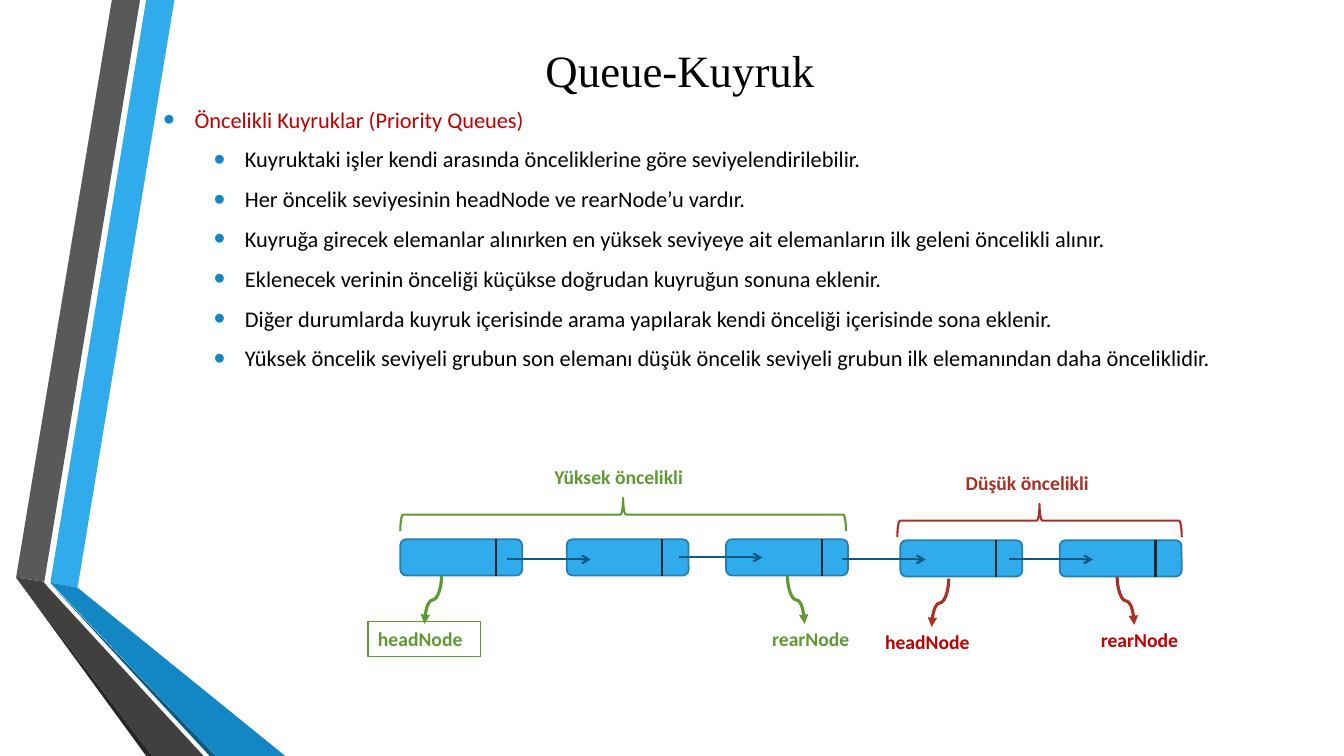
"""Build the slide on priority queues: title, rules and a linked node diagram."""
from lxml import etree
from pptx import Presentation
from pptx import util as u
from pptx.dml.color import RGBColor
from pptx.enum import shapes, text
from pptx.oxml import ns

BLACK = RGBColor(0x00, 0x00, 0x00)
SKY = RGBColor(0x30, 0xAC, 0xEC)
BLUE = RGBColor(0x12, 0x87, 0xC3)
NAVY = RGBColor(0x0C, 0x5A, 0x82)
NODE_EDGE = RGBColor(0x24, 0x7F, 0xAF)
GREY = RGBColor(0x59, 0x59, 0x59)
DARK_GREY = RGBColor(0x40, 0x40, 0x40)
CHARCOAL = RGBColor(0x26, 0x26, 0x26)
GREEN = RGBColor(0x5F, 0x99, 0x34)
BRICK = RGBColor(0xA9, 0x30, 0x23)
RED = RGBColor(0xC0, 0x00, 0x00)

TITLE = "Queue-Kuyruk"
HEADING = "Öncelikli Kuyruklar (Priority Queues)"
RULES = [
    "Kuyruktaki işler kendi arasında önceliklerine göre seviyelendirilebilir.",
    "Her öncelik seviyesinin headNode ve rearNode’u vardır.",
    "Kuyruğa girecek elemanlar alınırken en yüksek seviyeye ait elemanların ilk geleni öncelikli alınır.",
    "Eklenecek verinin önceliği küçükse doğrudan kuyruğun sonuna eklenir.",
    "Diğer durumlarda kuyruk içerisinde arama yapılarak kendi önceliği içerisinde sona eklenir.",
    "Yüksek öncelik seviyeli grubun son elemanı düşük öncelik seviyeli grubun ilk elemanından daha önceliklidir.",
]

# Band outlines are in hundredths of an inch.
BANDS = [
    (SKY, [(50, 578), (77, 583), (173, 0), (145, 0)]),
    (GREY, [(139, 0), (111, 0), (16, 573), (44, 577)]),
    (CHARCOAL, [(16, 573), (145, 750), (151, 750)]),
    (NAVY, [(50, 579), (208, 750), (214, 750)]),
    (BLUE, [(50, 578), (214, 750), (283, 750), (77, 583)]),
    (DARK_GREY, [(202, 750), (48, 583), (43, 577), (16, 573), (151, 750)]),
]

NODE_WIDTH, NODE_HEIGHT, DIVIDER = 1.21, 0.36, 0.95
NODES = [(3.97, 5.35), (5.62, 5.35), (7.2, 5.35), (8.93, 5.36), (10.51, 5.36)]
LINK_LENGTH = 0.83
LINKS = [(5.03, 5.55), (6.73, 5.53), (8.35, 5.55), (10.01, 5.55)]
DROP, DRIFT = 0.48, 0.17
POINTERS = [
    (4.38, 5.71, -1, GREEN),
    (7.81, 5.71, 1, GREEN),
    (9.41, 5.74, -1, BRICK),
    (11.08, 5.72, 1, BRICK),
]
BRACE_DEPTH = 0.33
BRACES = [(3.97, 4.94, 4.42, GREEN), (8.9, 5, 2.82, BRICK)]
LABELS = [
    ("Yüksek öncelikli", 5.4, 4.56, 1.58, GREEN, False),
    ("Düşük öncelikli", 9.48, 4.62, 1.67, BRICK, False),
    ("headNode", 3.65, 6.17, 1.12, GREEN, True),
    ("rearNode", 7.56, 6.17, 1.12, GREEN, False),
    ("headNode", 8.68, 6.2, 1.12, RED, False),
    ("rearNode", 10.82, 6.18, 1.12, RED, False),
]

presentation = Presentation()
presentation.slide_width, presentation.slide_height = u.Inches(13.33), u.Inches(7.5)
slide = presentation.slides.add_slide(presentation.slide_layouts[1])
canvas = slide.shapes


def place(shape, left, top, width, height):
    shape.left, shape.top = u.Inches(left), u.Inches(top)
    shape.width, shape.height = u.Inches(width), u.Inches(height)


def set_font(paragraph, name, size, color, bold=False):
    font = paragraph.font
    font.name, font.size, font.bold = name, u.Pt(size), bold
    font.color.rgb = color


def set_line(shape, color, width):
    shape.line.color.rgb = color
    shape.line.width = u.Pt(width)


def add_child(parent, tag, **attributes):
    return etree.SubElement(parent, ns.qn(tag), **attributes)


def add_bullet(paragraph, indent):
    properties = paragraph._p.get_or_add_pPr()
    properties.set("marL", str(u.Inches(indent)))
    properties.set("indent", str(u.Inches(-0.31)))
    add_child(add_child(properties, "a:buClr"), "a:srgbClr", val=str(BLUE))
    add_child(properties, "a:buSzPct", val="145000")
    add_child(properties, "a:buFont", typeface="Arial")
    add_child(properties, "a:buChar", char="•")


def add_line(begin, end, color, width, head=None, kind=shapes.MSO_CONNECTOR.STRAIGHT):
    points = [u.Inches(value) for value in (*begin, *end)]
    connector = canvas.add_connector(kind, *points)
    set_line(connector, color, width)
    if head:
        add_child(connector.line._get_or_add_ln(), "a:tailEnd", type=head)
    add_child(connector._element.spPr, "a:effectLst")
    return connector


def add_pointer(left, top, side, color):
    middle_x, middle_y = left + side * DRIFT / 2, top + DROP / 2
    begin = (middle_x + side * DROP / 2, middle_y - DRIFT / 2)
    end = (middle_x - side * DROP / 2, middle_y + DRIFT / 2)
    pointer = add_line(begin, end, color, 2.25, "triangle", shapes.MSO_CONNECTOR.CURVE)
    degrees = 270 if side > 0 else 90
    pointer._element.spPr.find(ns.qn("a:xfrm")).set("rot", str(degrees * 60000))


def add_brace(left, top, span, color):
    brace = canvas.add_shape(shapes.MSO_SHAPE.LEFT_BRACE, 0, 0, 0, 0)
    shift = (span - BRACE_DEPTH) / 2
    place(brace, left + shift, top - shift, BRACE_DEPTH, span)
    brace.rotation = 90
    brace.shadow.inherit = False
    brace.fill.background()
    set_line(brace, color, 1.5)


def add_label(words, left, top, width, color, framed):
    label = canvas.add_textbox(0, 0, 0, 0)
    place(label, left, top, width, 0.34)
    label.text_frame.word_wrap = True
    paragraph = label.text_frame.paragraphs[0]
    paragraph.text = words
    set_font(paragraph, "Calibri", 14, color, True)
    if framed:
        set_line(label, color, 0.75)


for position, (color, points) in enumerate(BANDS):
    builder = canvas.build_freeform(*points[0], scale=u.Inches(0.01))
    builder.add_line_segments(points[1:], close=True)
    band = builder.convert_to_shape()
    band.shadow.inherit = False
    band.fill.solid()
    band.fill.fore_color.rgb = color
    band.line.fill.background()
    canvas._spTree.insert(2 + position, band._element)

title = canvas.title
place(title, 1.55, 0.17, 10.39, 1.04)
title.text_frame.text = TITLE
title.text_frame.vertical_anchor = text.MSO_ANCHOR.MIDDLE
title_paragraph = title.text_frame.paragraphs[0]
title_paragraph.alignment = text.PP_ALIGN.CENTER
set_font(title_paragraph, "Times New Roman", 32, BLACK)

body = slide.placeholders[1]
place(body, 1.52, 1, 11.37, 3.2)
body.text_frame.text = "\n".join([HEADING, *RULES])
body.text_frame.auto_size = text.MSO_AUTO_SIZE.NONE
for number, paragraph in enumerate(body.text_frame.paragraphs):
    paragraph.level = min(number, 1)
    paragraph.space_before, paragraph.space_after = u.Pt(3.2), u.Pt(6)
    add_bullet(paragraph, 0.31 + 0.5 * paragraph.level)
    set_font(paragraph, "Calibri", 16, BLACK if number else RED)

for left, top in NODES:
    node = canvas.add_shape(shapes.MSO_SHAPE.ROUNDED_RECTANGLE, 0, 0, 0, 0)
    place(node, left, top, NODE_WIDTH, NODE_HEIGHT)
    node.shadow.inherit = False
    node.fill.solid()
    node.fill.fore_color.rgb = SKY
    set_line(node, NODE_EDGE, 1.25)
    divider = left + DIVIDER
    add_line((divider, top), (divider, top + NODE_HEIGHT), CHARCOAL, 1.5)

for left, top in LINKS:
    add_line((left, top), (left + LINK_LENGTH, top), NAVY, 1.5, "arrow")
for pointer in POINTERS:
    add_pointer(*pointer)
for brace in BRACES:
    add_brace(*brace)
for label in LABELS:
    add_label(*label)

presentation.save("out.pptx")
